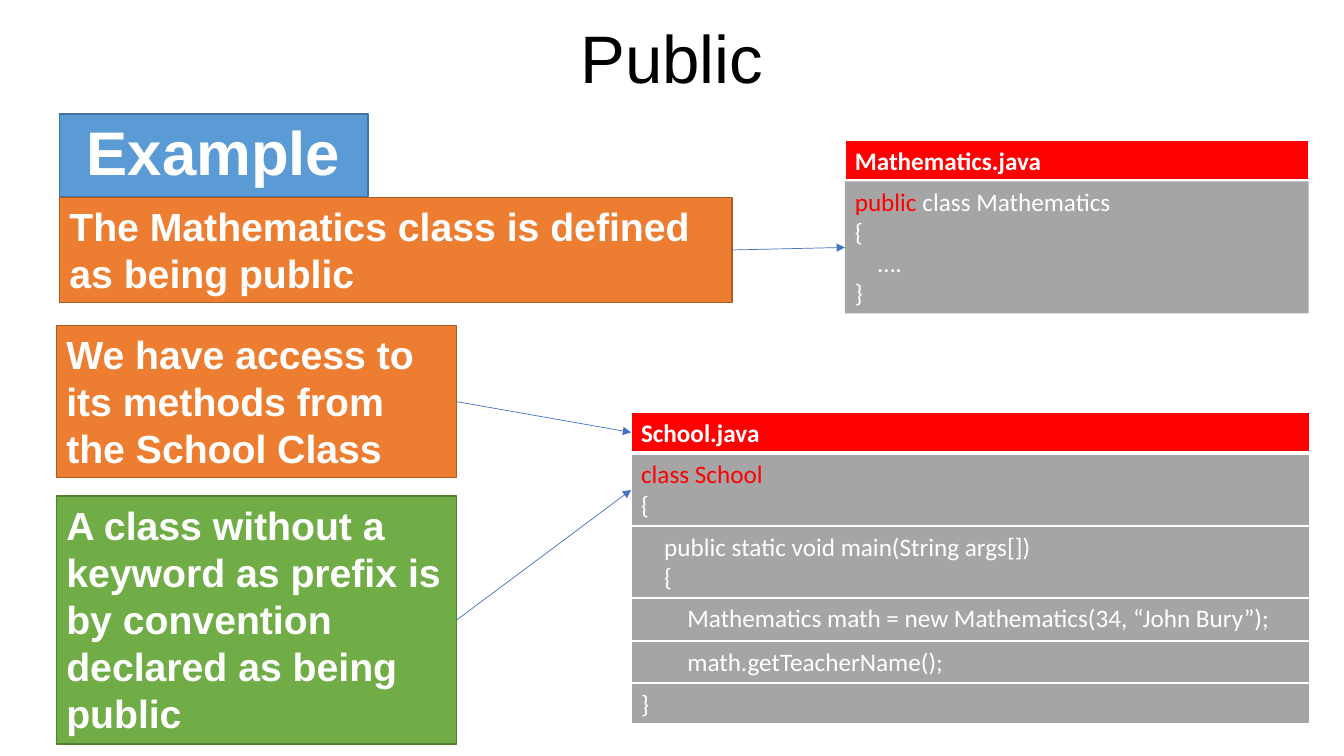
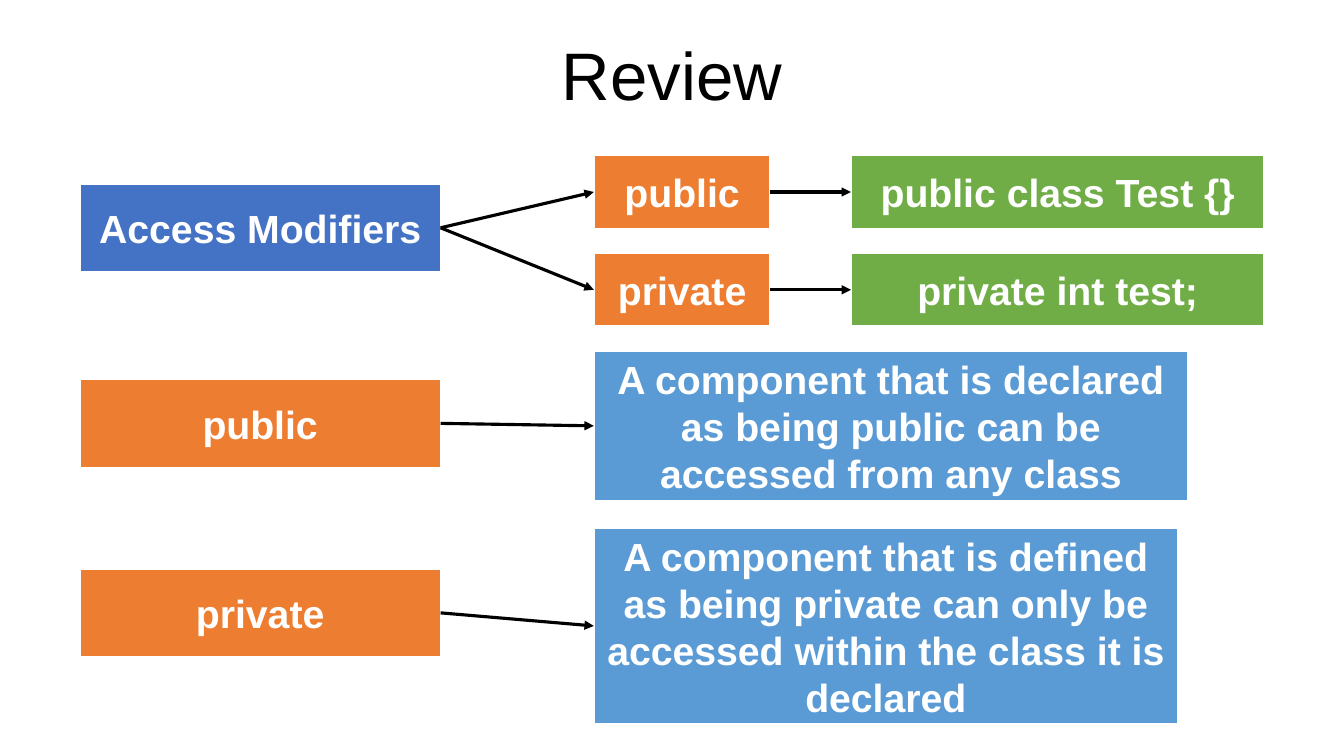
"""Build two slides on Java access modifiers."""
from dataclasses import dataclass

from lxml import etree
from pptx import Presentation
from pptx.dml.color import RGBColor
from pptx.enum import shapes, text
from pptx.oxml import ns
from pptx.util import Inches, Pt


@dataclass(frozen=True)
class Theme:
    black: str = "000000"
    white: str = "FFFFFF"
    red: str = "FF0000"
    gray: str = "A5A5A5"
    blue: str = "4472C4"
    sky: str = "5B9BD5"
    orange: str = "ED7D31"
    green: str = "70AD47"
    sky_edge: str = "43739E"
    orange_edge: str = "AF5C24"
    green_edge: str = "538035"
    font: str = "Arial"
    code_font: str = "Calibri"
    title_size: int = 48
    badge_size: int = 44
    body_size: int = 28
    code_size: int = 18
    code_indent: float = 0.23


THEME = Theme()
LEFT, RIGHT = 1, 3

NOTES = {
    "defined": ("The Mathematics class is defined as being public",
                (0.59, 1.96, 6.67, 1.04), THEME.orange, THEME.orange_edge),
    "access": ("We have access to its methods from the School Class",
               (0.56, 3.23, 3.97, 1.51), THEME.orange, THEME.orange_edge),
    "convention": ("A class without a keyword as prefix is by convention declared as being public",
                   (0.56, 4.92, 3.97, 2.46), THEME.green, THEME.green_edge),
}
BADGE = ("Example", (0.59, 1.13, 3.06, 0.82))

# Each code line is (indent level, [(text, colour), ...]).
MATHEMATICS = ("Mathematics.java", (8.38, 1.39, 4.6), [
    (1.31, [(0, [("public", THEME.red), (" class Mathematics", THEME.white)]),
            (0, [("{", THEME.white)]),
            (1, [("….", THEME.white)]),
            (0, [("}", THEME.white)])]),
])
SCHOOL = ("School.java", (6.26, 4.09, 6.73), [
    (0.72, [(0, [("class School", THEME.red)]), (0, [("{", THEME.white)])]),
    (0.71, [(1, [("public static void main(String args[])", THEME.white)]),
            (1, [("{", THEME.white)])]),
    (0.43, [(2, [("Mathematics math = new Mathematics(34, “John Bury”);", THEME.white)])]),
    (0.42, [(2, [("math.getTeacherName();", THEME.white)])]),
    (0.4, [(0, [("}", THEME.white)])]),
])
HEADER_STEP = 0.41

TOPIC_LEFT, TOPIC_SIZE = 0.79, (3.58, 0.88)
DETAIL_LEFT = 5.89
KEYWORD_SIZE = (1.75, 0.73)
SAMPLE_LEFT, SAMPLE_WIDTH = 8.44, 4.1
TOPIC = ("Access Modifiers", 1.82)
KEYWORDS = [("public", "public class Test {}", 1.54),
            ("private", "private int test;", 2.51)]
DEFINITIONS = [
    ("public", 3.76, "A component that is declared as being public can be accessed from any class",
     (3.48, 5.89, 1.49)),
    ("private", 5.64,
     "A component that is defined as being private can only be accessed within the class it is declared",
     (5.24, 5.79, 1.94)),
]


def color(value):
    return RGBColor.from_string(value)


def style(para, size, name=THEME.font, shade=THEME.white, bold=True,
          align=text.PP_ALIGN.LEFT, spacing=None):
    para.alignment = align
    para.line_spacing = spacing
    font = para.font
    font.name, font.size, font.bold = name, Pt(size), bold
    font.color.rgb = color(shade)


def add_page(deck, title, height):
    page = deck.slides.add_slide(deck.slide_layouts[5])
    box = page.shapes.title
    box.left, box.top = 0, 0
    box.width, box.height = deck.slide_width, Inches(height)
    box.text_frame.text = title
    box.text_frame.vertical_anchor = text.MSO_ANCHOR.MIDDLE
    style(box.text_frame.paragraphs[0], THEME.title_size, shade=THEME.black,
          bold=False, align=text.PP_ALIGN.CENTER, spacing=0.9)
    return page


def add_box(page, place, fill, edge=THEME.white, weight=1.5, anchor=text.MSO_ANCHOR.TOP):
    box = page.shapes.add_shape(shapes.MSO_SHAPE.RECTANGLE, *map(Inches, place))
    box.shadow.inherit = False
    box.fill.solid()
    box.fill.fore_color.rgb = color(fill)
    if edge:
        box.line.color.rgb = color(edge)
        box.line.width = Pt(weight)
    else:
        box.line.fill.background()
    box.text_frame.word_wrap = True
    box.text_frame.vertical_anchor = anchor
    return box


def add_label(page, label, place, fill):
    box = add_box(page, place, fill, anchor=text.MSO_ANCHOR.MIDDLE)
    box.text_frame.text = label
    style(box.text_frame.paragraphs[0], THEME.body_size, align=text.PP_ALIGN.CENTER)
    return box


def add_code(page, name, place, rows, edge):
    """Stack a file name and its code rows; return the boxes in order."""
    left, top, width = place
    header = add_box(page, (left, top, width, 0.4), THEME.red)
    header.text_frame.text = name
    style(header.text_frame.paragraphs[0], THEME.code_size, THEME.code_font)
    boxes = [header]
    top += HEADER_STEP
    for height, lines in rows:
        box = add_box(page, (left, top, width, height), THEME.gray, edge)
        frame = box.text_frame
        for index, (level, spans) in enumerate(lines):
            para = frame.add_paragraph() if index else frame.paragraphs[0]
            style(para, THEME.code_size, THEME.code_font, bold=False)
            para._p.get_or_add_pPr().set("marL", str(Inches(level * THEME.code_indent)))
            for words, shade in spans:
                span = para.add_run()
                span.text = words
                span.font.color.rgb = color(shade)
        boxes.append(box)
        top += height
    return boxes


def add_arrow(page, start, end, shade, weight):
    arrow = page.shapes.add_connector(shapes.MSO_CONNECTOR.STRAIGHT, 0, 0, 0, 0)
    arrow.begin_connect(start, RIGHT)
    arrow.end_connect(end, LEFT)
    arrow.line.color.rgb = color(shade)
    arrow.line.width = Pt(weight)
    etree.SubElement(arrow.line._get_or_add_ln(), ns.qn("a:tailEnd"), type="triangle")
    etree.SubElement(arrow._element.spPr, ns.qn("a:effectLst"))


def build_public(deck):
    page = add_page(deck, "Public", 1.22)
    notes = {}
    for key, (words, place, fill, edge) in NOTES.items():
        box = notes[key] = add_box(page, place, fill, edge, 1)
        box.text_frame.text = words
        style(box.text_frame.paragraphs[0], THEME.body_size)
    words, place = BADGE
    badge = add_box(page, place, THEME.sky, THEME.sky_edge, 1, text.MSO_ANCHOR.MIDDLE)
    badge.text_frame.text = words
    style(badge.text_frame.paragraphs[0], THEME.badge_size,
          align=text.PP_ALIGN.CENTER, spacing=0.9)
    mathematics = add_code(page, *MATHEMATICS, edge=None)
    school = add_code(page, *SCHOOL, edge=THEME.white)
    for key, target in (("defined", mathematics[1]), ("access", school[0]),
                        ("convention", school[1])):
        add_arrow(page, notes[key], target, THEME.blue, 0.5)


def build_review(deck):
    page = add_page(deck, "Review", 1.57)
    words, top = TOPIC
    topic = add_label(page, words, (TOPIC_LEFT, top, *TOPIC_SIZE), THEME.blue)
    links = []
    for words, sample, top in KEYWORDS:
        keyword = add_label(page, words, (DETAIL_LEFT, top, *KEYWORD_SIZE), THEME.orange)
        example = add_label(page, sample, (SAMPLE_LEFT, top, SAMPLE_WIDTH, KEYWORD_SIZE[1]),
                            THEME.green)
        links += [(topic, keyword), (keyword, example)]
    for words, top, meaning, (meaning_top, width, height) in DEFINITIONS:
        term = add_label(page, words, (TOPIC_LEFT, top, *TOPIC_SIZE), THEME.orange)
        detail = add_label(page, meaning, (DETAIL_LEFT, meaning_top, width, height), THEME.sky)
        links.append((term, detail))
    for start, end in links:
        add_arrow(page, start, end, THEME.black, 2.25)


def main():
    deck = Presentation()
    deck.slide_width, deck.slide_height = Inches(13.33), Inches(7.5)
    build_public(deck)
    build_review(deck)
    deck.save("out.pptx")


if __name__ == "__main__":
    main()
